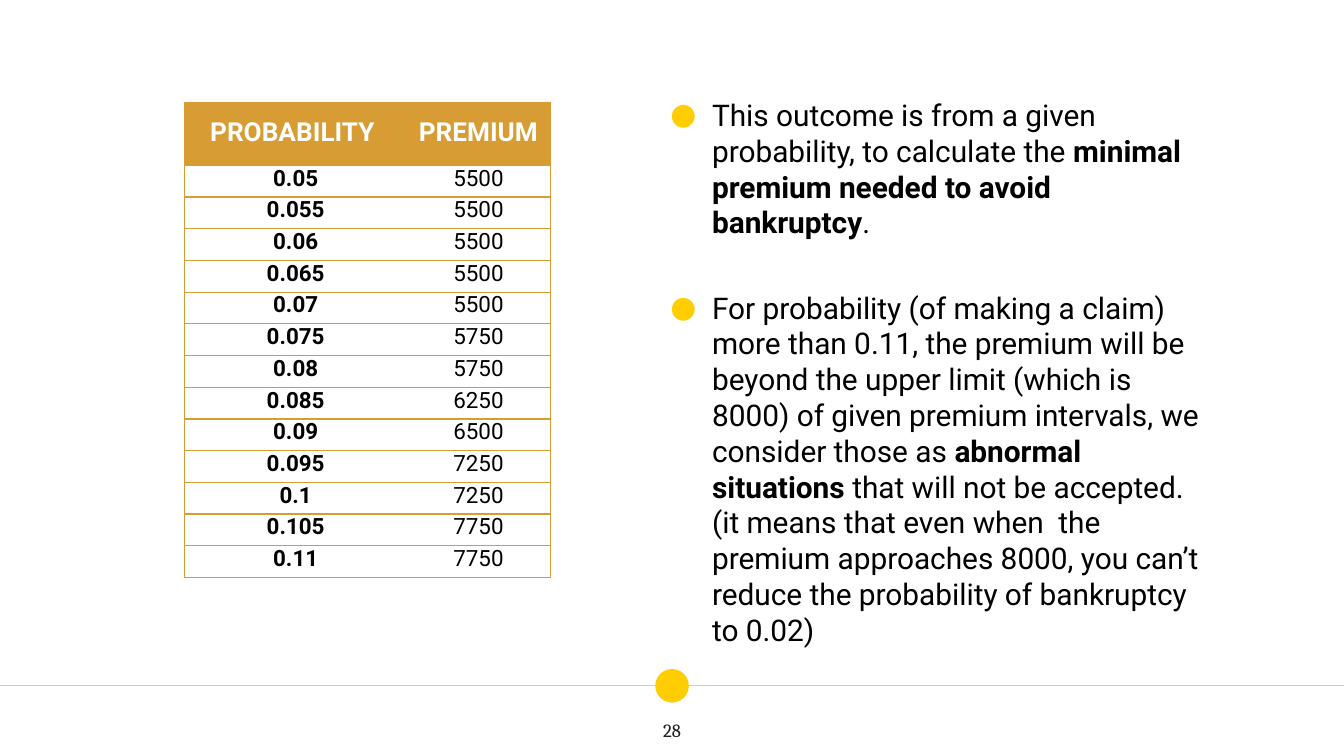
from dataclasses import dataclass
from typing import Any

from lxml.etree import SubElement
from pptx import Presentation
from pptx.dml.color import RGBColor
from pptx.enum.shapes import MSO_CONNECTOR, MSO_SHAPE
from pptx.enum.text import MSO_ANCHOR, PP_ALIGN
from pptx.oxml.ns import qn
from pptx.util import Pt

GOLD, YELLOW, GREY = "D79D34", "FFCD00", "CCCCCC"
BLACK, WHITE, INK = "000000", "FFFFFF", "1D1D1B"
NO_STYLE = "{2D5ABB26-0587-4C30-8999-92F81FD0307C}"
PROBABILITIES = ["0.05", "0.055", "0.06", "0.065", "0.07", "0.075", "0.08",
                 "0.085", "0.09", "0.095", "0.1", "0.105", "0.11"]
PREMIUMS = ["5500"] * 5 + ["5750"] * 2 + ["6250", "6500"] + ["7250"] * 2 + ["7750"] * 2
COLUMN_WIDTHS = [118.8, 77.04]
HEADER_HEIGHT, ROW_HEIGHT = 33.9, 17


@dataclass
class Run:
    text: str
    bold: bool = False
    size: float = 16
    color: str = BLACK
    font: str = "Roboto"


@dataclass
class Bullet:
    before: float
    runs: list[Run]


BULLETS = [
    Bullet(3.6, [
        Run("This outcome is from a given probability, to calculate the "),
        Run("minimal premium needed to avoid bankruptcy", True),
        Run("."),
    ]),
    Bullet(26.4, [
        Run("For probability (of making a claim) more than 0.11, the premium will be "
            "beyond the upper limit (which is 8000) of given premium intervals, "
            "we consider those as "),
        Run("abnormal situations ", True),
        Run("that will not be accepted. (it means that even when  the premium "
            "approaches 8000, you can’t reduce the probability of bankruptcy to 0.02)"),
    ]),
]


def rgb(color: str) -> RGBColor:
    return RGBColor.from_string(color)


def apply(target: Any, values: dict[str, Any]) -> None:
    for name, value in values.items():
        setattr(target, name, value)


def add_run(p: Any, run: Run) -> None:
    r = p.add_run()
    r.text = run.text
    apply(r.font, {"name": run.font, "size": Pt(run.size), "bold": run.bold})
    r.font.color.rgb = rgb(run.color)


def add_text_box(s: Any, left: float, top: float, width: float, height: float,
                 anchor: MSO_ANCHOR) -> Any:
    sp = s.shapes.add_textbox(Pt(left), Pt(top), Pt(width), Pt(height))
    tf = sp.text_frame
    margins = {f"margin_{side}": Pt(7.2) for side in ("left", "top", "right", "bottom")}
    apply(tf, {"word_wrap": True, "vertical_anchor": anchor, **margins})
    return tf


def add_border(cell: Any, side: str) -> None:
    ln = SubElement(cell._tc.get_or_add_tcPr(), qn(f"a:ln{side}"), w=str(Pt(0.75)))
    fill = SubElement(ln, qn("a:solidFill"))
    SubElement(fill, qn("a:srgbClr"), val=GOLD)


def fill_cell(cell: Any, run: Run, sides: str, header: bool) -> None:
    apply(cell, {"margin_left": Pt(5), "margin_right": Pt(5),
                 "margin_top": Pt(0), "margin_bottom": Pt(0)})
    for side in sides:
        add_border(cell, side)
    if header:
        cell.fill.solid()
        cell.fill.fore_color.rgb = rgb(GOLD)
    else:
        cell.fill.background()
    p = cell.text_frame.paragraphs[0]
    apply(p, {"alignment": PP_ALIGN.CENTER, "line_spacing": 1.5 if header else 1.0})
    add_run(p, run)


def add_premium_table(s: Any) -> None:
    rows = [("PROBABILITY ", "PREMIUM"), *zip(PROBABILITIES, PREMIUMS)]
    height = HEADER_HEIGHT + ROW_HEIGHT * len(PROBABILITIES)
    table = s.shapes.add_table(len(rows), 2, Pt(99), Pt(54.7),
                               Pt(sum(COLUMN_WIDTHS)), Pt(height)).table
    apply(table, {"first_row": False, "horz_banding": False})
    table._tbl.tblPr.find(qn("a:tableStyleId")).text = NO_STYLE
    for column, width in zip(table.columns, COLUMN_WIDTHS):
        column.width = Pt(width)
    for i, texts in enumerate(rows):
        header = i == 0
        table.rows[i].height = Pt(HEADER_HEIGHT if header else ROW_HEIGHT)
        for j, text in enumerate(texts):
            run = Run(text, header or j == 0, 14 if header else 12,
                      WHITE if header else BLACK)
            fill_cell(table.cell(i, j), run, ("LTB", "RTB")[j], header)


def add_bullets(s: Any) -> None:
    tf = add_text_box(s, 334.1, 44.6, 316.1, 244.8, MSO_ANCHOR.TOP)
    for i, bullet in enumerate(BULLETS):
        p = tf.add_paragraph() if i else tf.paragraphs[0]
        p.space_before = Pt(bullet.before)
        pPr = p._p.get_or_add_pPr()
        pPr.set("marL", str(Pt(40.3)))
        pPr.set("indent", str(-Pt(22.3)))
        color = SubElement(pPr, qn("a:buClr"))
        SubElement(color, qn("a:srgbClr"), val=YELLOW)
        SubElement(pPr, qn("a:buFont"), typeface="Roboto")
        SubElement(pPr, qn("a:buChar"), char="●")
        for run in bullet.runs:
            add_run(p, run)


def add_footer(s: Any) -> None:
    rule = s.shapes.add_connector(MSO_CONNECTOR.STRAIGHT,
                                  Pt(-0.7), Pt(367.2), Pt(720.7), Pt(367.2))
    rule.line.width = Pt(0.75)
    rule.line.color.rgb = rgb(GREY)
    SubElement(rule._element.spPr, qn("a:effectLst"))

    dot = s.shapes.add_shape(MSO_SHAPE.OVAL, Pt(351), Pt(358.4), Pt(18), Pt(18))
    dot.shadow.inherit = False
    dot.fill.solid()
    dot.fill.fore_color.rgb = rgb(YELLOW)
    dot.line.fill.background()

    tf = add_text_box(s, 338.4, 376.6, 43.2, 28.8, MSO_ANCHOR.MIDDLE)
    p = tf.paragraphs[0]
    p.alignment = PP_ALIGN.CENTER
    add_run(p, Run("28", size=10, color=INK, font="Cambria"))


def main() -> None:
    prs = Presentation()
    apply(prs, {"slide_width": Pt(720), "slide_height": Pt(405)})
    s = prs.slides.add_slide(prs.slide_layouts[6])
    add_footer(s)
    add_premium_table(s)
    add_bullets(s)
    prs.save("out.pptx")


main()
